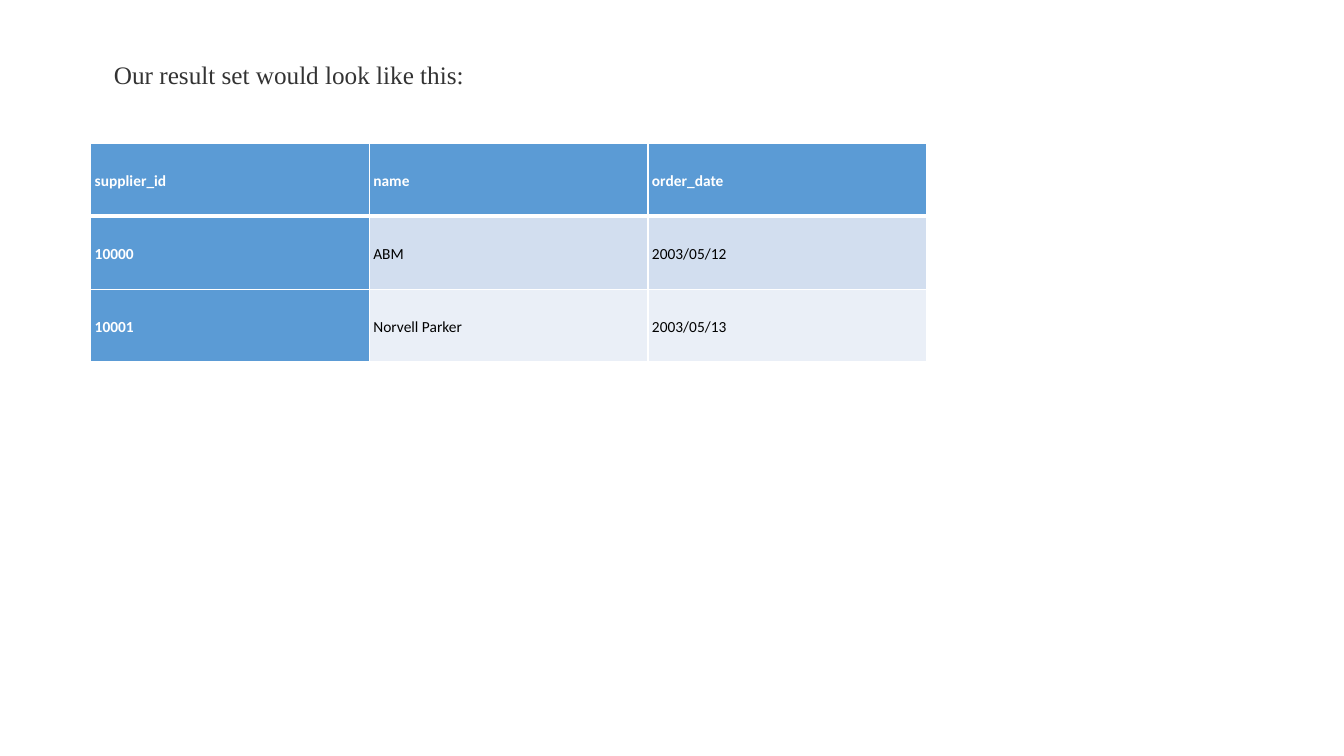
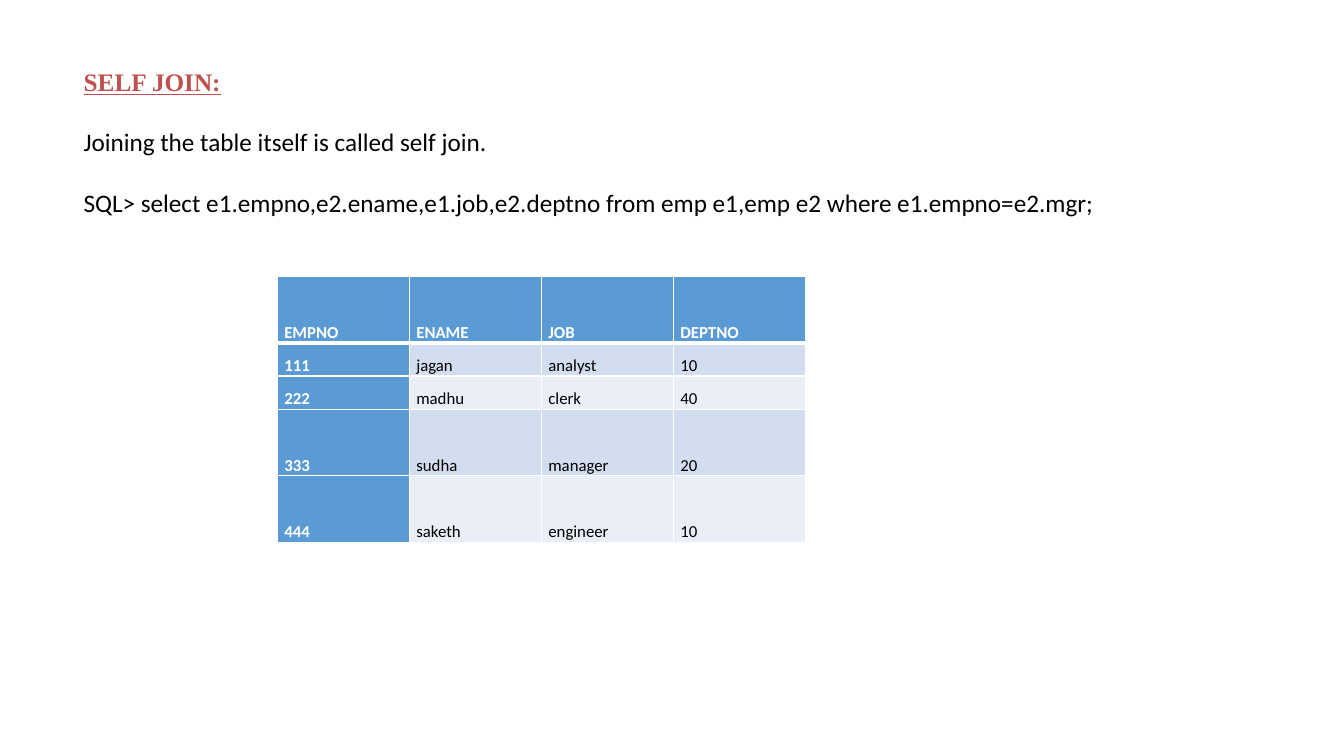
from dataclasses import dataclass

from lxml.etree import SubElement
from pptx import Presentation
from pptx.dml.color import RGBColor
from pptx.enum.text import MSO_ANCHOR as Anchor, MSO_AUTO_SIZE as AutoSize, PP_ALIGN as Align
from pptx.oxml.ns import qn
from pptx.util import Inches, Pt

SLIDE_WIDTH, SLIDE_HEIGHT = Inches(13.33), Inches(7.5)
TITLE_ONLY = 5


@dataclass(frozen=True)
class Theme:
    heading_font: str = "Times New Roman"
    body_font: str = "Calibri"
    text_size: float = 18
    plain_heading: str = "333333"
    topic_heading: str = "C0504D"
    text: str = "000000"
    head_text: str = "FFFFFF"
    head_fill: str = "5B9BD5"
    band_fills: tuple = ("D2DEEF", "EAEFF7")
    border: str = "FFFFFF"
    thin: float = 1
    thick: float = 3
    cell_spacing: float = 1.15


@dataclass(frozen=True)
class Box:
    """A rectangle in percent of the slide's width and height."""
    left: float
    top: float
    width: float
    height: float

    def lengths(self):
        return (int(SLIDE_WIDTH * self.left / 100), int(SLIDE_HEIGHT * self.top / 100),
                int(SLIDE_WIDTH * self.width / 100), int(SLIDE_HEIGHT * self.height / 100))


@dataclass(frozen=True)
class CellStyle:
    size: float
    anchor: Anchor
    insets: tuple  # left, top, right, bottom in inches


THEME = Theme()
RESULT_CELLS = CellStyle(11, Anchor.MIDDLE, (0.04, 0.04, 0.08, 0.04))
EMPLOYEE_CELLS = CellStyle(12, Anchor.BOTTOM, (0.07, 0, 0.07, 0))


def add_run(paragraph, text, font_name, size, color, bold=False, underline=False):
    run = paragraph.add_run()
    run.text = text
    font = run.font
    font.name, font.size = font_name, Pt(size)
    font.bold, font.underline = bold, underline
    font.color.rgb = RGBColor.from_string(color)


def place_title(slide, box, text, color, emphasis=False, line_spacing=1.0):
    title = slide.shapes.title
    title.left, title.top, title.width, title.height = box.lengths()
    frame = title.text_frame
    frame.word_wrap = True
    frame.auto_size = AutoSize.NONE
    frame.vertical_anchor = Anchor.TOP
    heading = frame.paragraphs[0]
    heading.alignment = Align.LEFT
    heading.line_spacing = line_spacing
    add_run(heading, text, THEME.heading_font, THEME.text_size, color, emphasis, emphasis)


def place_text(slide, box, lines, gap):
    frame = slide.shapes.add_textbox(*box.lengths()).text_frame
    frame.word_wrap = True
    for index, line in enumerate(lines):
        paragraph = frame.add_paragraph() if index else frame.paragraphs[0]
        if index:
            paragraph.space_before = Pt(gap)
        add_run(paragraph, line, THEME.body_font, THEME.text_size, THEME.text)


def set_borders(cell, top, bottom):
    """Draw the four edges; they must stand before the fill in the cell's XML."""
    properties = cell._tc.get_or_add_tcPr()
    widths = {"a:lnL": THEME.thin, "a:lnR": THEME.thin, "a:lnT": top, "a:lnB": bottom}
    for edge, width in widths.items():
        line = SubElement(properties, qn(edge), w=str(Pt(width)))
        fill = SubElement(line, qn("a:solidFill"))
        SubElement(fill, qn("a:srgbClr"), val=THEME.border)


def format_cell(cell, text, row, column, style):
    is_head = row == 0 or column == 0
    set_borders(cell, THEME.thick if row == 1 else THEME.thin,
                THEME.thick if row == 0 else THEME.thin)
    cell.fill.solid()
    color = THEME.head_fill if is_head else THEME.band_fills[(row - 1) % 2]
    cell.fill.fore_color.rgb = RGBColor.from_string(color)
    cell.vertical_anchor = style.anchor
    (cell.margin_left, cell.margin_top,
     cell.margin_right, cell.margin_bottom) = map(Inches, style.insets)
    paragraph = cell.text_frame.paragraphs[0]
    paragraph.line_spacing = THEME.cell_spacing
    add_run(paragraph, text, THEME.body_font, style.size,
            THEME.head_text if is_head else THEME.text, bold=is_head)


def place_table(slide, box, records, row_shares, style):
    left, top, width, height = box.lengths()
    columns = len(records[0])
    table = slide.shapes.add_table(len(records), columns, left, top, width, height).table
    table.first_col, table.horz_banding = True, False
    for column in table.columns:
        column.width = width // columns
    for row, share in zip(table.rows, row_shares):
        row.height = height * share // sum(row_shares)
    for r, record in enumerate(records):
        for c, text in enumerate(record):
            format_cell(table.cell(r, c), text, r, c, style)


def build_result_set(slide):
    place_title(slide, Box(7.73, 8.13, 50.2, 5.4), "Our result set would look like this:",
                THEME.plain_heading, line_spacing=Pt(16.1))
    orders = [
        ("supplier_id", "name", "order_date"),
        ("10000", "ABM", "2003/05/12"),
        ("10001", "Norvell Parker", "2003/05/13"),
    ]
    place_table(slide, Box(6.75, 18.95, 62.2, 28.95), orders, (1, 1, 1), RESULT_CELLS)


def build_self_join(slide):
    place_title(slide, Box(5.48, 8.13, 88.67, 5.4), "SELF JOIN:",
                THEME.topic_heading, emphasis=True)
    place_text(slide, Box(5.48, 16, 88.67, 17), [
        "Joining the table itself is called self join.",
        "SQL> select e1.empno,e2.ename,e1.job,e2.deptno from emp e1,emp e2 where e1.empno=e2.mgr;",
    ], gap=22)
    employees = [
        ("EMPNO", "ENAME", "JOB", "DEPTNO"),
        ("111", "jagan", "analyst", "10"),
        ("222", "madhu", "clerk", "40"),
        ("333", "sudha", "manager", "20"),
        ("444", "saketh", "engineer", "10"),
    ]
    place_table(slide, Box(20.63, 36.55, 39.3, 35.2), employees, (2, 1, 1, 2, 2),
                EMPLOYEE_CELLS)


def main():
    deck = Presentation()
    deck.slide_width, deck.slide_height = SLIDE_WIDTH, SLIDE_HEIGHT
    for build in (build_result_set, build_self_join):
        build(deck.slides.add_slide(deck.slide_layouts[TITLE_ONLY]))
    deck.save("out.pptx")


if __name__ == "__main__":
    main()
